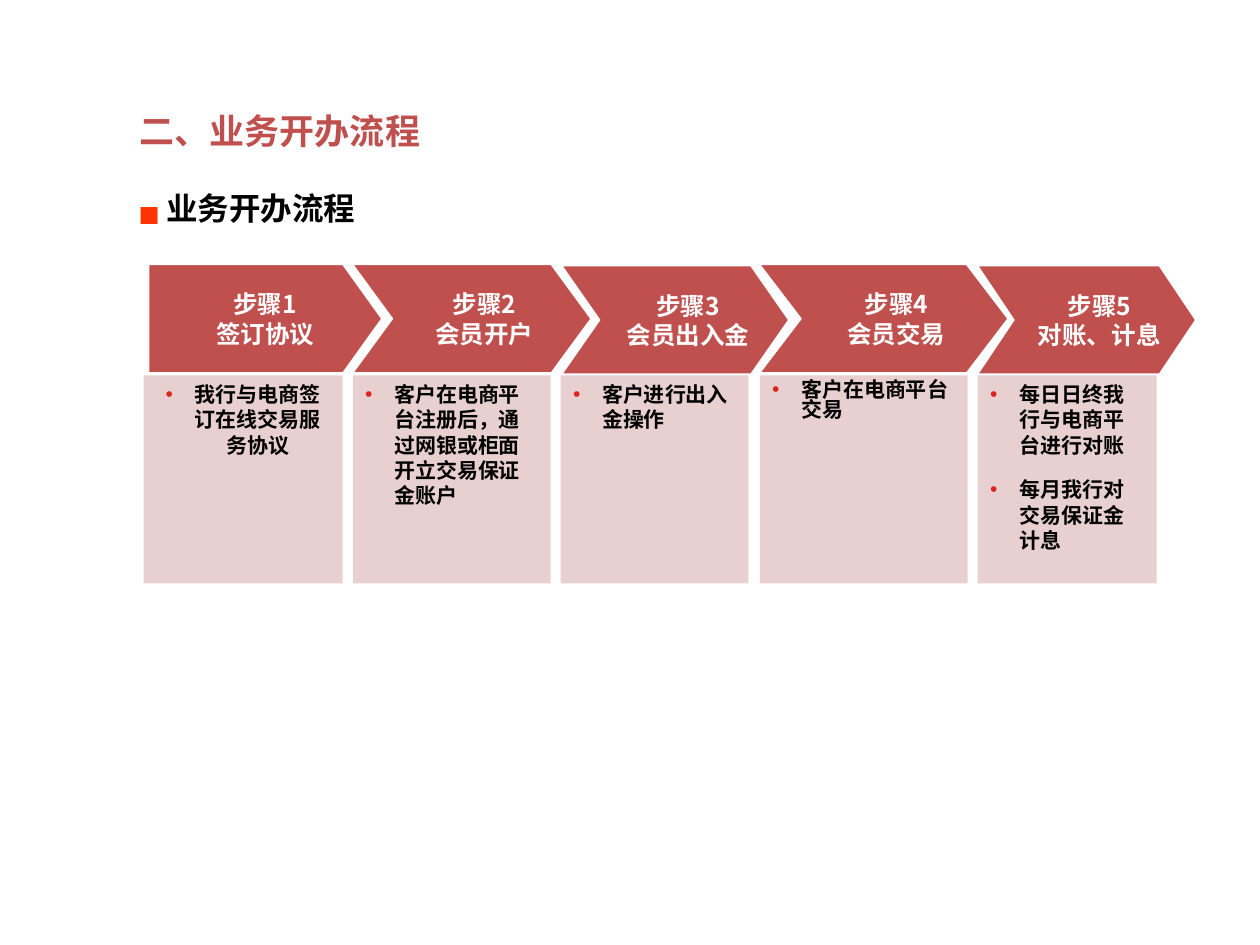
from dataclasses import dataclass

from lxml.etree import SubElement
from pptx import Presentation
from pptx.dml.color import RGBColor
from pptx.enum.shapes import MSO_SHAPE
from pptx.enum.text import MSO_ANCHOR, MSO_AUTO_SIZE, PP_ALIGN as Align
from pptx.oxml.ns import qn
from pptx.slide import Slide
from pptx.util import Inches, Pt

RED = RGBColor(0xC0, 0x50, 0x4D)
PINK = RGBColor(0xE8, 0xD0, 0xD0)
WHITE = RGBColor(0xFF, 0xFF, 0xFF)
BLACK = RGBColor(0, 0, 0)
MARKER = RGBColor(0xFF, 0x33, 0x00)
BULLET = "DC241F"
FONT = "Noto Sans CJK SC"

CARD_TOP, CARD_HEIGHT = 2.98, 1.65
ARROW_HEIGHT = 0.86
TEXT_INDENT = 0.23


@dataclass
class Step:
    title: str
    notes: list[str]
    arrow_left: float
    arrow_top: float
    arrow_width: float
    card_left: float
    card_width: float
    align: Align = Align.LEFT
    line_spacing: float = 1.0


STEPS = [
    Step("签订协议", ["我行与电商签订在线交易服务协议"],
         1.18, 2.1, 1.85, 1.14, 1.58, align=Align.CENTER),
    Step("会员开户", ["客户在电商平台注册后，通过网银或柜面开立交易保证金账户"],
         2.8, 2.1, 1.89, 2.8, 1.57),
    Step("会员出入金", ["客户进行出入金操作"],
         4.46, 2.11, 1.8, 4.45, 1.49),
    Step("会员交易", ["客户在电商平台交易"],
         6.03, 2.1, 1.97, 6.03, 1.65, line_spacing=0.8),
    Step("对账、计息", ["每日日终我行与电商平台进行对账", "每月我行对交易保证金计息"],
         7.76, 2.11, 1.73, 7.76, 1.42),
]


def format_runs(paragraph, size: float, color: RGBColor,
                bold: bool = True, font: str = FONT) -> None:
    for run in paragraph.runs:
        run.font.size = Pt(size)
        run.font.bold = bold
        run.font.color.rgb = color
        run.font.name = font
        SubElement(run.font._element, qn("a:ea")).set("typeface", font)


def add_bullet(paragraph) -> None:
    properties = paragraph._p.get_or_add_pPr()
    properties.set("marL", str(Inches(TEXT_INDENT)))
    properties.set("indent", str(-Inches(TEXT_INDENT)))
    color = SubElement(properties, qn("a:buClr"))
    SubElement(color, qn("a:srgbClr")).set("val", BULLET)
    SubElement(properties, qn("a:buFont")).set("typeface", "Arial")
    SubElement(properties, qn("a:buChar")).set("char", "•")


def add_arrow(slide: Slide, step: Step, number: int) -> None:
    left, top = step.arrow_left, step.arrow_top
    right, bottom = left + step.arrow_width, top + ARROW_HEIGHT
    middle = top + ARROW_HEIGHT / 2
    depth = step.arrow_width / 6
    points = [(left, top), (right - depth, top), (right, middle),
              (right - depth, bottom), (left, bottom)]
    if number > 1:  # every arrow but the first is notched
        points.append((left + depth, middle))
    corners = [(Inches(x), Inches(y)) for x, y in points]
    builder = slide.shapes.build_freeform(*corners[0])
    builder.add_line_segments(corners[1:], close=True)
    shape = builder.convert_to_shape()
    shape.shadow.inherit = False
    shape.fill.solid()
    shape.fill.fore_color.rgb = RED
    shape.line.color.rgb = WHITE
    shape.line.width = Pt(0.75)
    text_frame = shape.text_frame
    text_frame.word_wrap = True
    text_frame.vertical_anchor = MSO_ANCHOR.MIDDLE
    text_frame.text = f"步骤{number}\n{step.title}"
    for paragraph in text_frame.paragraphs:
        paragraph.alignment = Align.CENTER
        if number > 1:
            properties = paragraph._p.get_or_add_pPr()
            properties.set("marL", str(Inches(0.2)))
            properties.set("indent", "0")
        format_runs(paragraph, 14, WHITE)


def add_card(slide: Slide, step: Step) -> None:
    shape = slide.shapes.add_shape(
        MSO_SHAPE.RECTANGLE, Inches(step.card_left), Inches(CARD_TOP),
        Inches(step.card_width), Inches(CARD_HEIGHT))
    shape.shadow.inherit = False
    shape.fill.solid()
    shape.fill.fore_color.rgb = PINK
    shape.line.fill.background()
    text_frame = shape.text_frame
    text_frame.word_wrap = True
    text_frame.vertical_anchor = MSO_ANCHOR.TOP
    text_frame.text = "\n".join(step.notes)
    for index, paragraph in enumerate(text_frame.paragraphs):
        add_bullet(paragraph)
        paragraph.alignment = step.align
        paragraph.line_spacing = step.line_spacing
        paragraph.space_before = Pt(11.2 if index else 0)
        format_runs(paragraph, 12, BLACK)


def add_label(slide: Slide, text: str, left: float, top: float,
              width: float, height: float, size: float, color: RGBColor,
              align: Align = Align.LEFT, line_spacing: float = 1.0,
              wrap: bool = True, bold: bool = True, font: str = FONT) -> None:
    box = slide.shapes.add_textbox(
        Inches(left), Inches(top), Inches(width), Inches(height))
    text_frame = box.text_frame
    text_frame.word_wrap = wrap
    text_frame.auto_size = MSO_AUTO_SIZE.NONE
    text_frame.text = text
    paragraph = text_frame.paragraphs[0]
    paragraph.alignment = align
    paragraph.line_spacing = line_spacing
    format_runs(paragraph, size, color, bold, font)


def main() -> None:
    presentation = Presentation()
    presentation.slide_width = Inches(10)
    presentation.slide_height = Inches(7.5)
    slide = presentation.slides.add_slide(presentation.slide_layouts[6])

    # Process steps
    for number, step in enumerate(STEPS, start=1):
        add_arrow(slide, step, number)
        add_card(slide, step)

    # Headings
    add_label(slide, "业务开办流程", 1.22, 1.39, 3.31, 0.47, 18, BLACK,
              align=Align.JUSTIFY, line_spacing=1.2)
    add_label(slide, "二、业务开办流程", 1.01, 0.82, 3.21, 0.44, 20, RED)
    add_label(slide, "■", 0.98, 1.47, 0.41, 0.44, 20, MARKER,
              align=Align.CENTER, wrap=False, bold=False, font="Arial")

    presentation.save("out.pptx")


if __name__ == "__main__":
    main()
